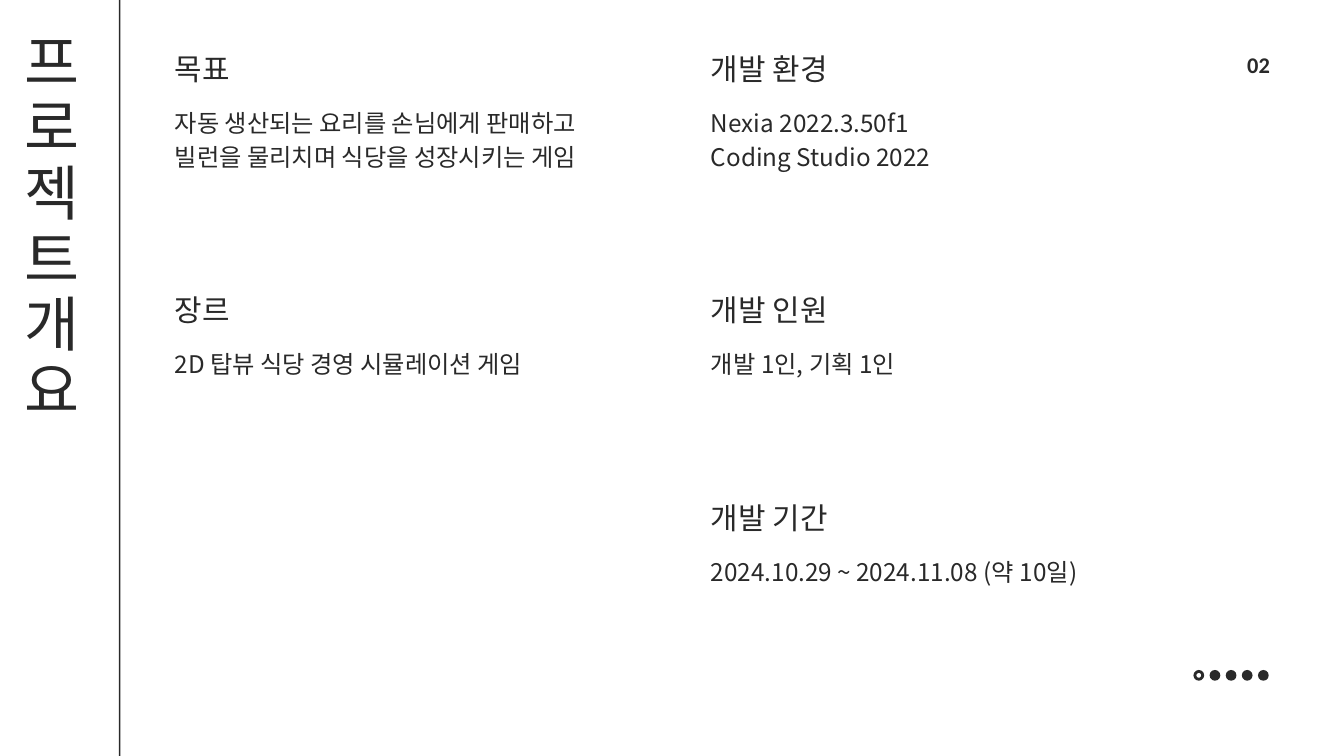
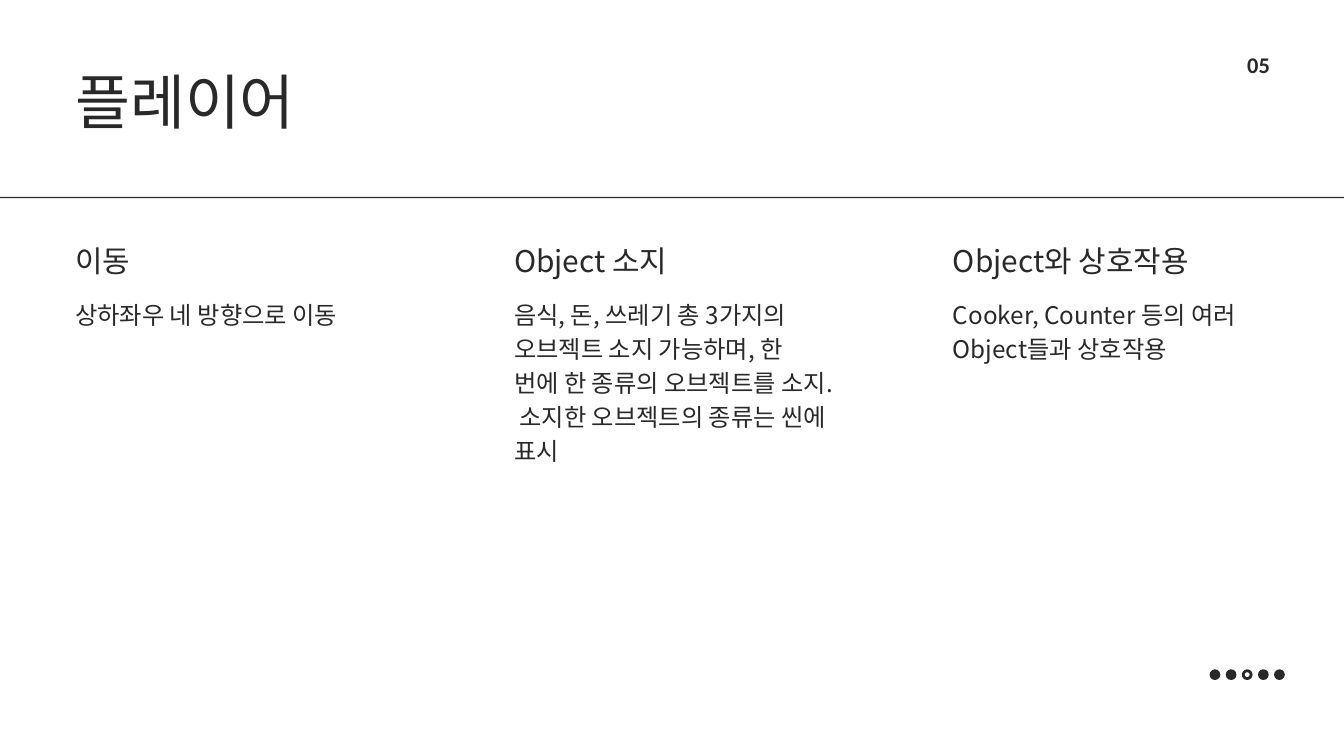
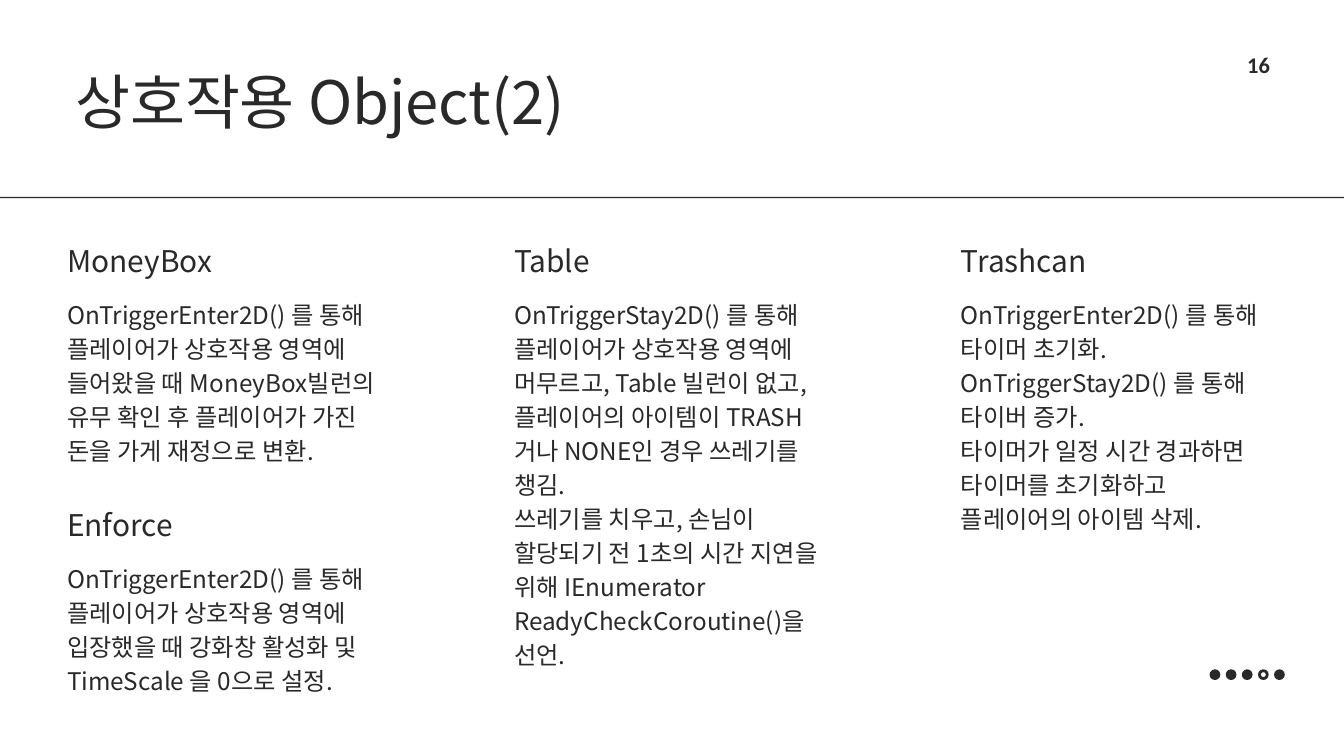
from lxml import etree
from pptx import Presentation
from pptx import util as u
from pptx.dml.color import RGBColor
from pptx.enum import shapes, text
from pptx.oxml.ns import qn

COLORS = {"ink": "292929", "paper": "FFFFFF"}
FONTS = {"main": "Noto Sans CJK KR", "number": "Calibri"}
SLIDE_WIDTH, SLIDE_HEIGHT = 20, 11.25
RULE = 0.02
TITLE_ONLY = 5
DOT_SIZE, DOT_STEP, DOT_COUNT = 0.16, 0.24, 5


def format_text(shape, lines, size=26, spacing=36.4, font="main", bold=False):
    """Fill a shape with one paragraph per line, without margins."""
    frame = shape.text_frame
    frame.margin_left = frame.margin_top = frame.margin_right = frame.margin_bottom = 0
    frame.word_wrap = True
    frame.auto_size = text.MSO_AUTO_SIZE.SHAPE_TO_FIT_TEXT
    frame.vertical_anchor = text.MSO_ANCHOR.TOP
    for index, line in enumerate(lines):
        paragraph = frame.paragraphs[0] if index == 0 else frame.add_paragraph()
        paragraph.alignment = text.PP_ALIGN.LEFT
        paragraph.line_spacing = u.Pt(spacing)
        paragraph.space_before = u.Pt(0)
        run = paragraph.add_run()
        run.text = line
        run.font.size = u.Pt(size)
        run.font.bold = bold
        run.font.name = FONTS[font]
        run.font.color.rgb = RGBColor.from_string(COLORS["ink"])
        properties = run.font._element
        etree.SubElement(properties, qn("a:ea")).set("typeface", FONTS[font])


def add_text(container, box, lines, **style):
    shape = container.add_textbox(*map(u.Inches, box))
    format_text(shape, lines, **style)


def add_solid(container, kind, box):
    shape = container.add_shape(kind, *map(u.Inches, box))
    shape.shadow.inherit = False
    shape.fill.solid()
    shape.fill.fore_color.rgb = RGBColor.from_string(COLORS["ink"])
    shape.line.fill.background()
    return shape


def add_title(slide, box, title):
    shape = slide.shapes.title
    shape.left, shape.top, shape.width, shape.height = map(u.Inches, box)
    format_text(shape, [title], size=64, spacing=70.4)


def add_section(slide, left, top, width, heading, lines, rows):
    """Group a heading with the body below it; rows is the body's wrapped line count."""
    group = slide.shapes.add_group_shape().shapes
    add_text(group, (left, top + 0.74, width, rows * 0.5 - 0.02), lines)
    add_text(group, (left, top, width, 0.55), [heading], size=32, spacing=35.2)


def add_progress_dots(slide, left, top, current):
    group = slide.shapes.add_group_shape().shapes
    for index in range(DOT_COUNT):
        box = (left + index * DOT_STEP, top, DOT_SIZE, DOT_SIZE)
        if index == current:
            ring = add_solid(group, shapes.MSO_SHAPE.DONUT, box)
            ring.adjustments[0] = 0.27
        else:
            add_solid(group, shapes.MSO_SHAPE.OVAL, box)


def add_base_slide(presentation, title, title_box, rule_box, number):
    slide = presentation.slides.add_slide(presentation.slide_layouts[TITLE_ONLY])
    slide.background.fill.solid()
    slide.background.fill.fore_color.rgb = RGBColor.from_string(COLORS["paper"])
    add_title(slide, title_box, title)
    add_solid(slide.shapes, shapes.MSO_SHAPE.RECTANGLE, rule_box)
    add_text(slide.shapes, (18.56, 0.69, 2.87, 0.44), [number],
             size=24, spacing=33.6, font="number", bold=True)
    return slide


def add_overview_slide(presentation, title, number, current, columns):
    """Title runs down the left side; sections stand in columns on shared rows."""
    slide = add_base_slide(presentation, title, (0.36, 0.45, 1.06, 9.07),
                           (1.77, 0, RULE, SLIDE_HEIGHT), number)
    for left, sections in zip((2.6, 10.58), columns):
        for top, section in zip((0.8, 4.39, 7.48), sections):
            add_section(slide, left, top, 6.29, *section)
    add_progress_dots(slide, 17.76, 9.97, current)


def add_columns_slide(presentation, title, number, current, left, step, columns):
    """Title lies above a rule; each column holds one or two sections."""
    slide = add_base_slide(presentation, title, (1.12, 1.05, 8.12, 1.13),
                           (0, 2.93, SLIDE_WIDTH, RULE), number)
    for index, sections in enumerate(columns):
        for top, section in zip((3.66, 7.59), sections):
            add_section(slide, left + index * step, top, 4.7, *section)
    add_progress_dots(slide, 18, 9.96, current)


OVERVIEW = [
    [("목표", ["자동 생산되는 요리를 손님에게 판매하고 빌런을 물리치며 식당을 성장시키는 게임"], 2),
     ("장르", ["2D 탑뷰 식당 경영 시뮬레이션 게임"], 1)],
    [("개발 환경", ["Nexia 2022.3.50f1", "Coding Studio 2022"], 2),
     ("개발 인원", ["개발 1인, 기획 1인"], 1),
     ("개발 기간", ["2024.10.29 ~ 2024.11.08 (약 10일)"], 1)],
]
PLAYER = [
    [("이동", ["상하좌우 네 방향으로 이동"], 1)],
    [("Object 소지", ["음식, 돈, 쓰레기 총 3가지의 오브젝트 소지 가능하며, 한 번에 한 종류의 "
                    "오브젝트를 소지. 소지한 오브젝트의 종류는 씬에 표시"], 4)],
    [("Object와 상호작용", ["Cooker, Counter 등의 여러 Object들과 상호작용"], 2)],
]
OBJECTS = [
    [("MoneyBox", ["OnTriggerEnter2D() 를 통해 플레이어가 상호작용 영역에 들어왔을 때 "
                   "MoneyBox빌런의 유무 확인 후 플레이어가 가진 돈을 가게 재정으로 변환."], 5),
     ("Enforce", ["OnTriggerEnter2D() 를 통해 플레이어가 상호작용 영역에 입장했을 때 "
                  "강화창 활성화 및 TimeScale 을 0으로 설정."], 4)],
    [("Table", ["OnTriggerStay2D() 를 통해 플레이어가 상호작용 영역에 머무르고, Table 빌런이 없고, "
                "플레이어의 아이템이 TRASH거나 NONE인 경우 쓰레기를 챙김.",
                "쓰레기를 치우고, 손님이 할당되기 전 1초의 시간 지연을 위해 "
                "IEnumerator ReadyCheckCoroutine()을 선언."], 9)],
    [("Trashcan", ["OnTriggerEnter2D() 를 통해 타이머 초기화.",
                   "OnTriggerStay2D() 를 통해 타이버 증가.",
                   "타이머가 일정 시간 경과하면 타이머를 초기화하고 플레이어의 아이템 삭제."], 7)],
]


def main():
    presentation = Presentation()
    presentation.slide_width = u.Inches(SLIDE_WIDTH)
    presentation.slide_height = u.Inches(SLIDE_HEIGHT)
    add_overview_slide(presentation, "프로젝트 개요", "02", 0, OVERVIEW)
    add_columns_slide(presentation, "플레이어", "05", 2, 1.12, 6.53, PLAYER)
    add_columns_slide(presentation, "상호작용 Object(2)", "16", 3, 1, 6.65, OBJECTS)
    presentation.save("out.pptx")


if __name__ == "__main__":
    main()
